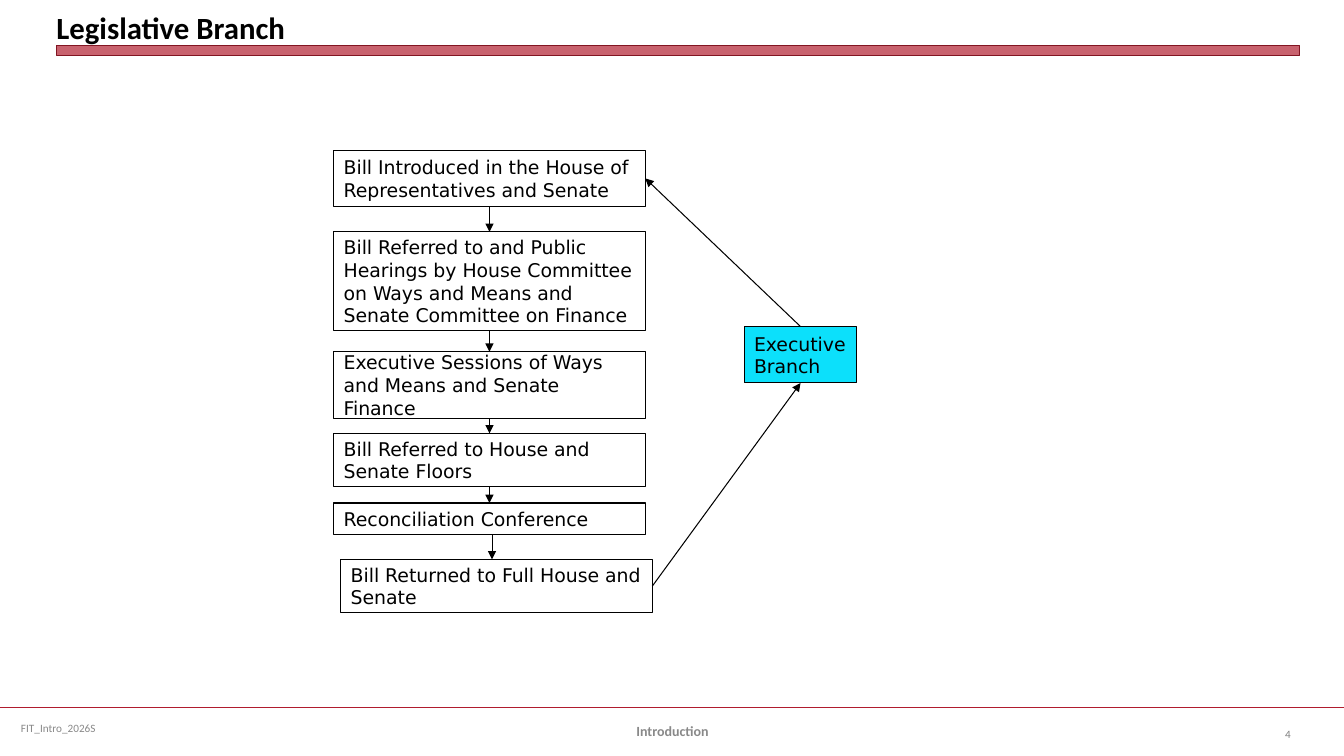
from dataclasses import dataclass

from lxml import etree
from pptx import Presentation
from pptx.dml.color import RGBColor
from pptx.enum.shapes import MSO_CONNECTOR, MSO_SHAPE
from pptx.enum.text import MSO_ANCHOR, MSO_AUTO_SIZE, PP_ALIGN
from pptx.oxml.ns import qn
from pptx.util import Inches, Pt

STRAIGHT = MSO_CONNECTOR.STRAIGHT
RECTANGLE = MSO_SHAPE.RECTANGLE
MIDDLE, BOTTOM = MSO_ANCHOR.MIDDLE, MSO_ANCHOR.BOTTOM
NO_AUTOFIT = MSO_AUTO_SIZE.NONE
LEFT, CENTER, RIGHT = PP_ALIGN.LEFT, PP_ALIGN.CENTER, PP_ALIGN.RIGHT
TITLE_ONLY_LAYOUT = 5
TOP_SITE, BOTTOM_SITE, RIGHT_SITE = 0, 2, 3  # connection sites of a rectangle


@dataclass(frozen=True)
class Theme:
    black: RGBColor = RGBColor(0, 0, 0)
    red: RGBColor = RGBColor(0xB0, 0x1C, 0x2E)
    dark_red: RGBColor = RGBColor(0x82, 0x15, 0x22)
    cyan: RGBColor = RGBColor(0x0C, 0xE0, 0xFB)
    gray: RGBColor = RGBColor(0x89, 0x89, 0x89)
    number_gray: RGBColor = RGBColor(0x80, 0x80, 0x80)
    heading_font: str = "Calibri"
    step_font: str = "DejaVu Sans"
    title_size: float = 22
    step_size: float = 13.5
    section_size: float = 10
    small_size: float = 8
    thin: float = 0.75
    rule: float = 1.25


THEME = Theme()

SLIDE_WIDTH, SLIDE_HEIGHT = 13.33, 7.5
STEP_WIDTH = 3.09
# text, left offset, top offset and height within the flow chart
STEPS = [
    ("Bill Introduced in the House of Representatives and Senate", 0, 0, 0.56),
    ("Bill Referred to and Public Hearings by House Committee on Ways and "
     "Means and Senate Committee on Finance", 0, 0.81, 0.98),
    ("Executive Sessions of Ways and Means and Senate Finance", 0, 2, 0.66),
    ("Bill Referred to House and Senate Floors", 0, 2.81, 0.53),
    ("Reconciliation Conference", 0, 3.5, 0.31),
    ("Bill Returned to Full House and Senate", 0.07, 4.06, 0.53),
]


def style_paragraph(paragraph, font_name, size, color, bold=False, align=LEFT):
    paragraph.alignment = align
    paragraph.font.name = font_name
    paragraph.font.size = Pt(size)
    paragraph.font.color.rgb = color
    paragraph.font.bold = bold


def add_line(slide, start, end, color, width):
    line = slide.shapes.add_connector(STRAIGHT, *start, *end)
    line.line.color.rgb = color
    line.line.width = Pt(width)
    etree.SubElement(line._element.spPr, qn("a:effectLst"))
    return line


def add_arrow(slide, start, end):
    arrow = add_line(slide, start, end, THEME.black, THEME.thin)
    etree.SubElement(arrow.line._get_or_add_ln(), qn("a:tailEnd"), type="triangle")
    return arrow


def link(slide, source, source_site, target, target_site):
    """Draw an arrow glued to a connection site of each box."""
    arrow = add_arrow(slide, (0, 0), (0, 0))
    arrow.begin_connect(source, source_site)
    arrow.end_connect(target, target_site)


def add_rectangle(slide, left, top, width, height, line_color, line_width, fill=None):
    shape = slide.shapes.add_shape(
        RECTANGLE, Inches(left), Inches(top), Inches(width), Inches(height))
    shape.shadow.inherit = False
    if fill is None:
        shape.fill.background()
    else:
        shape.fill.solid()
        shape.fill.fore_color.rgb = fill
    shape.line.color.rgb = line_color
    shape.line.width = Pt(line_width)
    return shape


def add_step(slide, text, left, top, width, height, fill=None):
    step = add_rectangle(slide, left, top, width, height, THEME.black, THEME.thin, fill)
    step.text_frame.word_wrap = True
    step.text_frame.vertical_anchor = MIDDLE
    step.text_frame.text = text
    style_paragraph(step.text_frame.paragraphs[0],
                    THEME.step_font, THEME.step_size, THEME.black)
    return step


def add_header(slide, text, left, top, width):
    title = slide.shapes.title
    title.left, title.top = Inches(left), Inches(top)
    title.width, title.height = Inches(width), Inches(0.4)
    frame = title.text_frame
    frame.text = text
    frame.auto_size = NO_AUTOFIT
    frame.vertical_anchor = BOTTOM
    frame.margin_left = frame.margin_right = frame.margin_top = frame.margin_bottom = 0
    style_paragraph(frame.paragraphs[0], THEME.heading_font, THEME.title_size,
                    THEME.black, bold=True)

    bar = add_rectangle(slide, left, top + 0.4, width, 0.1, THEME.dark_red, 0, THEME.red)
    bar_color = bar._element.spPr.find(qn("a:solidFill"))[0]
    etree.SubElement(bar_color, qn("a:alpha"), val="69000")


def add_footer_text(slide, left, top, width, text, size, color, bold=False, align=LEFT):
    box = slide.shapes.add_textbox(Inches(left), Inches(top), Inches(width), Inches(0.4))
    box.text_frame.word_wrap = True
    box.text_frame.vertical_anchor = MIDDLE
    paragraph = box.text_frame.paragraphs[0]
    paragraph.text = text
    style_paragraph(paragraph, THEME.heading_font, size, color, bold, align)
    return paragraph


def make_slide_number(paragraph):
    """Turn the paragraph's run into a slide number field."""
    run = paragraph.runs[0]._r
    run.tag = qn("a:fld")
    run.set("id", "{B6F15528-21DE-4FAA-801E-634DDDAF4B2B}")
    run.set("type", "slidenum")


def add_footer(slide, top):
    add_line(slide, (0, Inches(top)), (Inches(SLIDE_WIDTH), Inches(top)),
             THEME.red, THEME.rule)
    add_footer_text(slide, 0.11, top, 3.44, "FIT_Intro_2026S",
                    THEME.small_size, THEME.gray)
    add_footer_text(slide, 4.56, top + 0.03, 4.22, "Introduction",
                    THEME.section_size, THEME.gray, bold=True, align=CENTER)
    add_footer_text(slide, 12.23, top + 0.06, 0.67, "4",
                    THEME.small_size, THEME.number_gray, align=RIGHT)


def add_flow_chart(slide, left, top):
    steps = [add_step(slide, text, left + dx, top + dy, STEP_WIDTH, height)
             for text, dx, dy, height in STEPS]
    executive = add_step(slide, "Executive Branch", left + 4.07, top + 1.75,
                         1.12, 0.56, THEME.cyan)

    for upper, lower in zip(steps[:-2], steps[1:-1]):
        link(slide, upper, BOTTOM_SITE, lower, TOP_SITE)
    conference, returned = steps[-2:]
    return_x = Inches(left + 1.57)
    add_arrow(slide, (return_x, conference.top + conference.height),
              (return_x, returned.top))
    link(slide, returned, RIGHT_SITE, executive, BOTTOM_SITE)
    link(slide, executive, TOP_SITE, steps[0], RIGHT_SITE)


def main():
    presentation = Presentation()
    presentation.slide_width = Inches(SLIDE_WIDTH)
    presentation.slide_height = Inches(SLIDE_HEIGHT)
    slide = presentation.slides.add_slide(presentation.slide_layouts[TITLE_ONLY_LAYOUT])
    add_header(slide, "Legislative Branch", 0.56, 0.05, 12.33)
    add_flow_chart(slide, 3.31, 1.49)
    add_footer(slide, 7.02)
    presentation.save("out.pptx")


if __name__ == "__main__":
    main()
